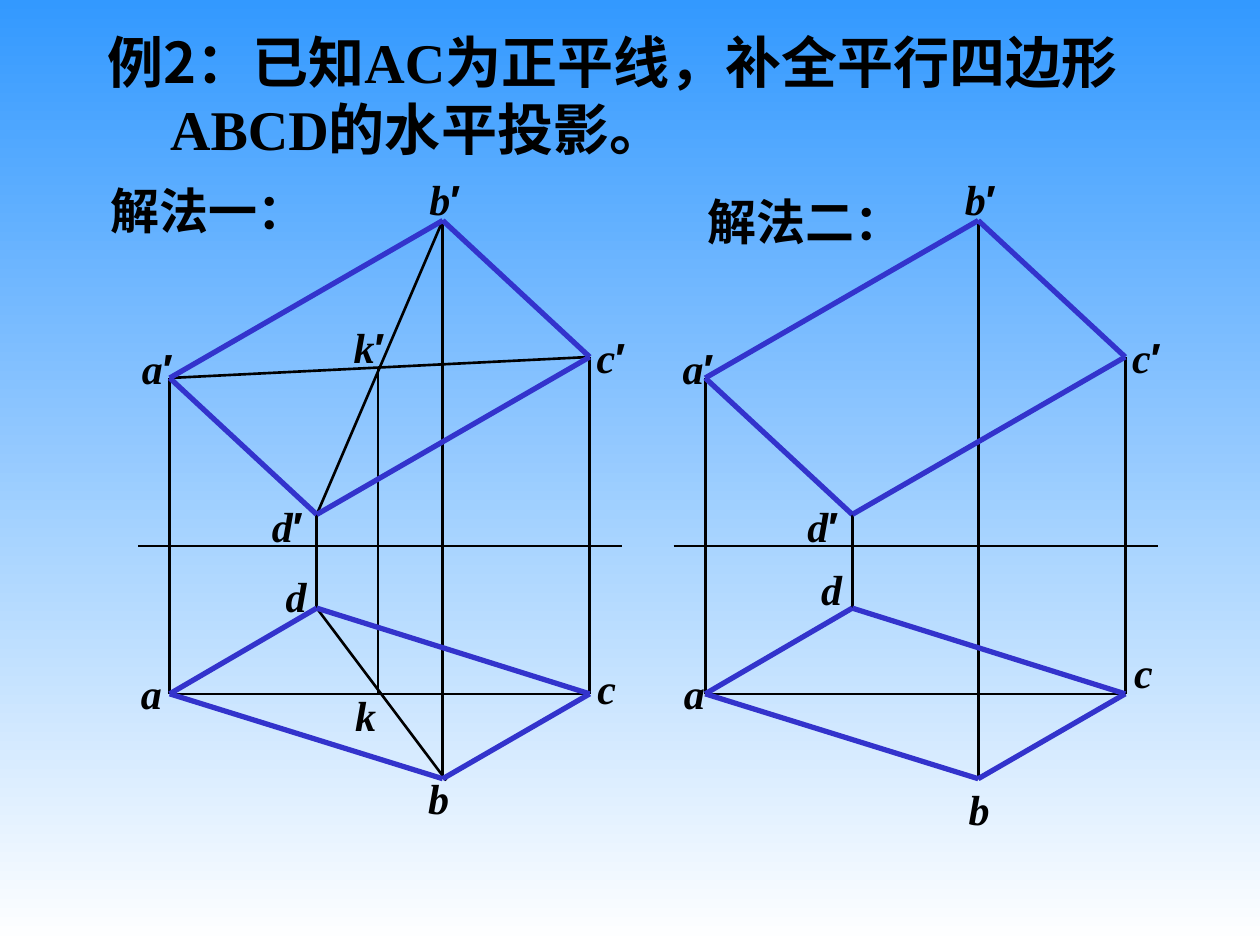
from dataclasses import dataclass

from lxml import etree
from pptx import Presentation
from pptx.dml.color import RGBColor
from pptx.enum.shapes import MSO_CONNECTOR
from pptx.enum.text import MSO_ANCHOR, MSO_AUTO_SIZE, PP_ALIGN
from pptx.oxml.ns import qn
from pptx.util import Pt

STRAIGHT = MSO_CONNECTOR.STRAIGHT
MIDDLE = MSO_ANCHOR.MIDDLE
NO_FIT = MSO_AUTO_SIZE.NONE
LEFT, CENTER = PP_ALIGN.LEFT, PP_ALIGN.CENTER


@dataclass(frozen=True)
class Theme:
    ink: str = "000000"
    edge: str = "3333CC"
    sky: str = "3399FF"
    base: str = "FFFFFF"
    serif: str = "Times New Roman"
    sans: str = "Arial"
    han: str = "Noto Sans CJK SC"
    title: float = 32
    head: float = 28
    label: float = 24
    thin: float = 1.5
    thick: float = 3


class Board:
    """Holds the theme and the current slide; shift moves a whole view right."""

    def __init__(self, slide, theme):
        self.slide, self.theme, self.shift = slide, theme, 0

    def paint(self):
        fill = self.slide.background.fill
        fill.gradient()
        fill.gradient_angle = 270
        for stop, tint in zip(fill.gradient_stops, (self.theme.sky, self.theme.base)):
            stop.color.rgb = RGBColor.from_string(tint)

    def run(self, para, text, size, face=None, slant=False):
        run = para.add_run()
        run.text = text
        font = run.font
        font.name, font.size = face or self.theme.serif, Pt(size)
        font.bold, font.italic = True, slant
        font.color.rgb = RGBColor.from_string(self.theme.ink)
        etree.SubElement(font._element, qn("a:ea")).set("typeface", self.theme.han)

    def title(self, box, lines, indent):
        """Lines are lists of (text, face); all after the first are indented."""
        shape = self.slide.shapes.title
        shape.left, shape.top, shape.width, shape.height = map(Pt, box)
        frame = shape.text_frame
        frame.word_wrap, frame.auto_size = True, NO_FIT
        frame.vertical_anchor = MIDDLE
        for i, parts in enumerate(lines):
            para = frame.add_paragraph() if i else frame.paragraphs[0]
            para.alignment = LEFT
            if i:
                para._p.get_or_add_pPr().set("indent", str(Pt(indent)))
            for text, face in parts:
                self.run(para, text, self.theme.title, face)

    def text(self, mid, wide, high):
        """Add a box centred on mid and return its paragraph."""
        x, y = mid
        box = self.slide.shapes.add_textbox(
            Pt(x + self.shift - wide / 2), Pt(y - high / 2), Pt(wide), Pt(high))
        frame = box.text_frame
        frame.word_wrap, frame.vertical_anchor = False, MIDDLE
        para = frame.paragraphs[0]
        para.alignment = CENTER
        return para

    def head(self, text, mid):
        self.run(self.text(mid, 126, 41), text, self.theme.head)

    def label(self, name, mid):
        para = self.text(mid, 26 if len(name) == 1 else 34.5, 36)
        self.run(para, name[0], self.theme.label, slant=True)
        if name[1:]:
            self.run(para, name[1:], self.theme.label, self.theme.sans)

    def line(self, start, end, bold=False):
        (x1, y1), (x2, y2) = start, end
        line = self.slide.shapes.add_connector(
            STRAIGHT, Pt(x1 + self.shift), Pt(y1), Pt(x2 + self.shift), Pt(y2))
        line.line.color.rgb = RGBColor.from_string(
            self.theme.edge if bold else self.theme.ink)
        line.line.width = Pt(self.theme.thick if bold else self.theme.thin)
        etree.SubElement(line._element.spPr, qn("a:effectLst"))

    def view(self, shift, points, thin, labels):
        """Draw both projections, with the extra thin lines of one solution."""
        self.shift = shift
        for start, end in thin:
            self.line(points[start], points[end])
        for name in "abcd":
            self.line(points[name + "′"], points[name])
        self.line((79, 312), (355.7, 312))
        for mark in ("′", ""):
            for start, end in ("ab", "bc", "cd", "da"):
                self.line(points[start + mark], points[end + mark], bold=True)
        for name, mid in labels.items():
            self.label(name, mid)


POINTS = {
    "a′": (97, 216), "b′": (253, 126), "c′": (337, 204), "d′": (181, 294),
    "a": (97, 396.5), "b": (253, 445), "c": (337, 396.5), "d": (181, 347.5),
    "k′": (216, 210), "k": (216, 396.5), "end": (255, 446),
}
PRIMES = {"b′": (254.2, 113.8), "c′": (349.2, 203.8), "d′": (164.2, 300.2)}
FIRST = PRIMES | {
    "a′": (90, 210), "k′": (211, 198), "a": (86.4, 396), "b": (250.6, 455.8),
    "c": (346.7, 393.1), "d": (169.2, 340.6), "k": (208.8, 408.2),
}
SECOND = PRIMES | {
    "a′": (92.9, 210), "a": (90.7, 396), "b": (253.4, 462.2),
    "c": (347.4, 383.8), "d": (169.2, 336.2),
}


def main():
    deck = Presentation()
    deck.slide_width, deck.slide_height = Pt(720), Pt(540)
    theme = Theme()
    board = Board(deck.slides.add_slide(deck.slide_layouts[5]), theme)
    board.paint()
    board.title((54, -7.2, 617.8, 122.4), [
        [("例", theme.serif), ("2", theme.han),
         ("：已知AC为正平线，补全平行四边形", theme.serif)],
        [("ABCD的水平投影。", theme.serif)],
    ], indent=36)
    board.head("解法一：", (119.2, 119.9))
    board.head("解法二：", (460.4, 126.4))
    board.view(0, POINTS, [("a′", "c′"), ("b′", "d′"), ("k′", "k"),
                           ("a", "c"), ("d", "end")], FIRST)
    board.view(306, POINTS, [("a", "c"), ("a", "b"), ("b", "c")], SECOND)
    deck.save("out.pptx")


if __name__ == "__main__":
    main()
